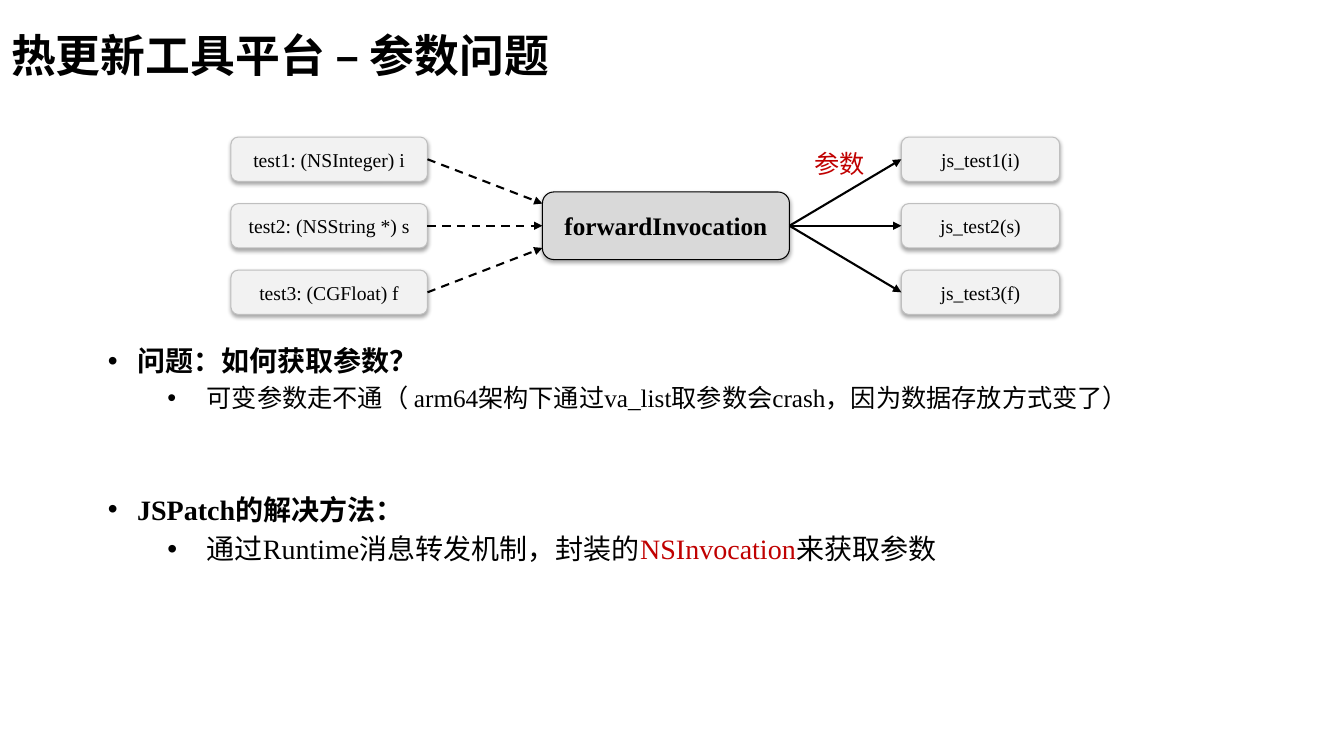
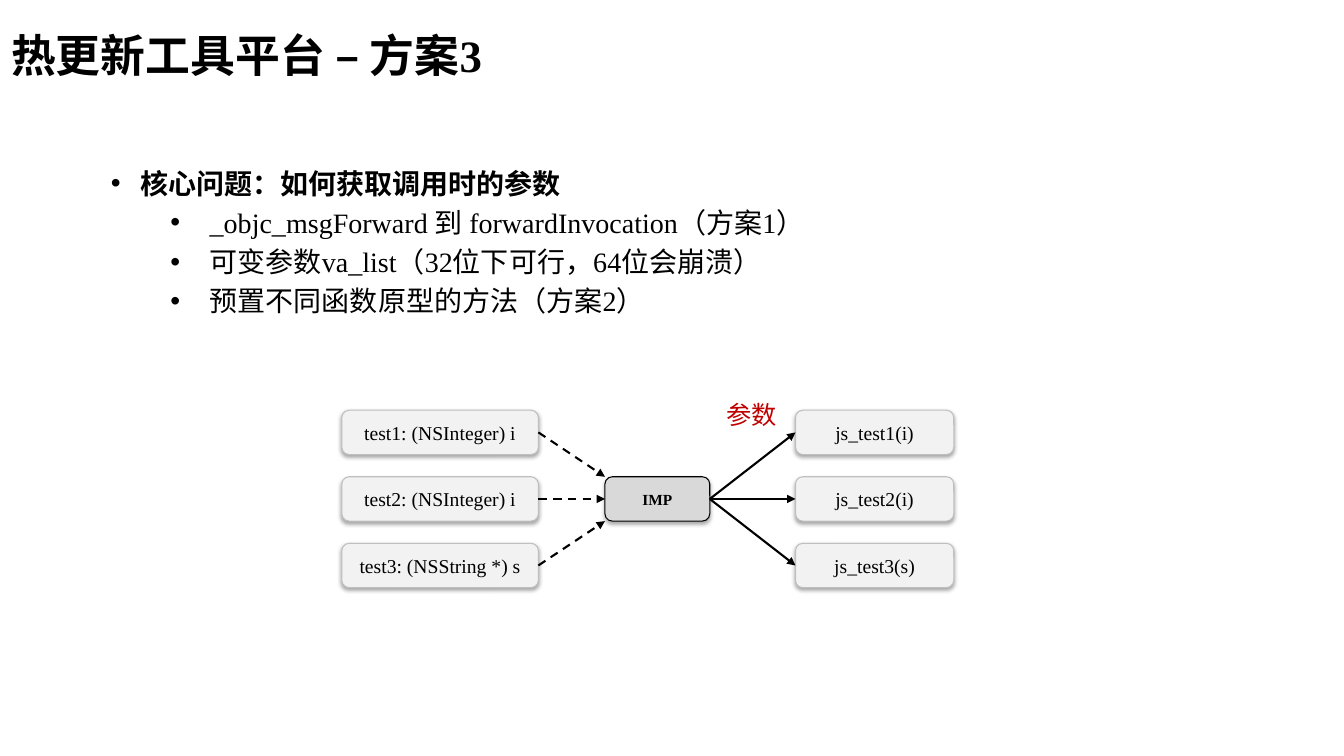
from dataclasses import dataclass

from lxml import etree
from pptx import Presentation
from pptx.dml.color import RGBColor
from pptx.enum.dml import MSO_LINE
from pptx.enum.shapes import MSO_CONNECTOR, MSO_SHAPE
from pptx.enum.text import MSO_ANCHOR, MSO_AUTO_SIZE, PP_ALIGN
from pptx.oxml.ns import qn
from pptx.util import Inches, Pt

DASH = MSO_LINE.DASH
STRAIGHT = MSO_CONNECTOR.STRAIGHT
ROUNDED = MSO_SHAPE.ROUNDED_RECTANGLE
TOP, MIDDLE = MSO_ANCHOR.TOP, MSO_ANCHOR.MIDDLE
NO_FIT = MSO_AUTO_SIZE.NONE
LEFT, CENTER = PP_ALIGN.LEFT, PP_ALIGN.CENTER
LEFT_SITE, RIGHT_SITE = 1, 3
TITLE_AND_CONTENT = 1


@dataclass(frozen=True)
class Theme:
    font: str = "Times New Roman"
    ink: str = "000000"
    accent: str = "C00000"
    box_fill: str = "F2F2F2"
    box_line: str = "BFBFBF"
    hub_fill: str = "D9D9D9"
    title: int = 32
    body: int = 20
    small: int = 18
    box: int = 14


T = Theme()
INDENTS = ((0.29, -0.29), (0.98, -0.39))
BOX_H = 0.44
ROW_PITCH = 0.66
METHOD_W, SCRIPT_W = 1.95, 1.57


class Deck:
    def __init__(self):
        self.prs = Presentation()
        self.prs.slide_width = Inches(13.33)
        self.prs.slide_height = Inches(7.5)
        self.s = None

    def slide(self, title):
        layout = self.prs.slide_layouts[TITLE_AND_CONTENT]
        self.s = self.prs.slides.add_slide(layout)
        sp = self.s.shapes.title
        tf = self.place(sp, (0.01, 0.08, 8.77, 0.92), MIDDLE)
        tf.paragraphs[0].alignment = LEFT
        self.run(tf.paragraphs[0], title, size=T.title, bold=True)

    def place(self, sp, at, anchor):
        """Move a placeholder and return its text frame."""
        sp.left, sp.top, sp.width, sp.height = map(Inches, at)
        tf = sp.text_frame
        tf.auto_size = NO_FIT
        tf.vertical_anchor = anchor
        return tf

    def run(self, p, text, size=T.body, color=T.ink, bold=False):
        r = p.add_run()
        r.text = text
        style = {"name": T.font, "size": Pt(size), "bold": bold}
        for name, value in style.items():
            setattr(r.font, name, value)
        r.font.color.rgb = RGBColor.from_string(color)

    def bullets(self, at, items):
        """Fill the body from (level, space before, runs) items."""
        tf = self.place(self.s.placeholders[1], at, TOP)
        for i, (level, before, runs) in enumerate(items):
            p = tf.add_paragraph() if i else tf.paragraphs[0]
            p.level = level
            p.alignment = LEFT
            p.space_before = Pt(before)
            pPr = p._p.get_or_add_pPr()
            margin, indent = INDENTS[level]
            pPr.set("marL", str(Inches(margin)))
            pPr.set("indent", str(Inches(indent)))
            etree.SubElement(pPr, qn("a:buFont"), typeface="Arial")
            etree.SubElement(pPr, qn("a:buChar"), char="•")
            for text, style in runs:
                self.run(p, text, bold=level == 0, **style)

    def box(self, text, at, fill=T.box_fill, line=T.box_line, **style):
        sp = self.s.shapes.add_shape(ROUNDED, *map(Inches, at))
        sp.fill.solid()
        sp.fill.fore_color.rgb = RGBColor.from_string(fill)
        sp.line.color.rgb = RGBColor.from_string(line)
        sp.line.width = Pt(0.75)
        self.soft_shadow(sp)
        p = sp.text_frame.paragraphs[0]
        p.alignment = CENTER
        self.run(p, text, **{"size": T.box, **style})
        return sp

    def soft_shadow(self, sp):
        sp.shadow.inherit = False
        effects = sp._element.spPr.find(qn("a:effectLst"))
        shadow = etree.SubElement(
            effects, qn("a:outerShdw"), blurRad=str(Pt(3.1)),
            dist=str(Pt(1.8)), dir="5400000", rotWithShape="0")
        color = etree.SubElement(shadow, qn("a:srgbClr"), val=T.ink)
        etree.SubElement(color, qn("a:alpha"), val="35000")

    def arrow(self, source, target, end_y=None, dash=None):
        """Join two boxes, ending at end_y if given, else mid-side."""
        begin_y = source.top + source.height // 2
        cxn = self.s.shapes.add_connector(
            STRAIGHT, source.left + source.width, begin_y,
            target.left, begin_y if end_y is None else end_y)
        cxn.begin_connect(source, RIGHT_SITE)
        if end_y is None:
            cxn.end_connect(target, LEFT_SITE)
        cxn.line.color.rgb = RGBColor.from_string(T.ink)
        cxn.line.width = Pt(1.5)
        if dash:
            cxn.line.dash_style = dash
        spPr = cxn._element.spPr
        etree.SubElement(spPr.find(qn("a:ln")), qn("a:tailEnd"),
                         type="triangle")
        etree.SubElement(spPr, qn("a:effectLst"))

    def label(self, text, left, top):
        sp = self.s.shapes.add_textbox(
            *map(Inches, (left, top, 0.71, 0.4)))
        sp.text_frame.word_wrap = False
        self.run(sp.text_frame.paragraphs[0], text,
                 size=T.small, color=T.accent)

    def column(self, texts, left, width, mid):
        first = mid - ROW_PITCH * (len(texts) - 1) / 2 - BOX_H / 2
        return [self.box(text, (left, first + i * ROW_PITCH, width, BOX_H))
                for i, text in enumerate(texts)]

    def forwarding(self, mid, methods, hub, scripts, label_at):
        """Draw methods converging on a hub that fans out to scripts.

        Columns are (left, texts); hub is (text, left, width, height, size).
        """
        method_x, method_texts = methods
        script_x, script_texts = scripts
        name, x, w, h, size = hub
        sources = self.column(method_texts, method_x, METHOD_W, mid)
        hub_sp = self.box(name, (x, mid - h / 2, w, h), fill=T.hub_fill,
                          line=T.ink, size=size, bold=True)
        targets = self.column(script_texts, script_x, SCRIPT_W, mid)
        for step, source in zip((-1, 0, 1), sources):
            self.arrow(source, hub_sp, Inches(mid + step * 0.22), DASH)
        for target in targets:
            self.arrow(hub_sp, target)
        self.label("参数", *label_at)


def parameter_slide(deck):
    deck.slide("热更新工具平台 – 参数问题")
    deck.bullets((0.97, 3.36, 11, 2.38), [
        (0, 0, [("问题：如何获取参数？", {})]),
        (1, 3.6, [("可变参数走不通（ arm64架构下通过va_list取参数会crash，"
                   "因为数据存放方式变了）", {"size": T.small})]),
        (0, 57, [("JSPatch的解决方法：", {})]),
        (1, 4, [("通过Runtime消息转发机制，封装的", {}),
                ("NSInvocation", {"color": T.accent}),
                ("来获取参数", {})]),
    ])
    deck.forwarding(
        2.24,
        (2.29, ["test1: (NSInteger) i", "test2: (NSString *) s",
                "test3: (CGFloat) f"]),
        ("forwardInvocation", 5.38, 2.45, 0.67, 18),
        (8.94, ["js_test1(i)", "js_test2(s)", "js_test3(f)"]),
        (7.98, 1.42))


def third_plan_slide(deck):
    deck.slide("热更新工具平台 – 方案3")
    deck.bullets((1, 1.6, 11.55, 1.89), [
        (0, 0, [("核心问题：如何获取调用时的参数", {})]),
        (1, 4, [("_objc_msgForward 到 forwardInvocation（方案1）", {})]),
        (1, 4, [("可变参数va_list（32位下可行，64位会崩溃）", {})]),
        (1, 4, [("预置不同函数原型的方法（方案2）", {})]),
    ])
    deck.forwarding(
        4.95,
        (3.39, ["test1: (NSInteger) i", "test2: (NSInteger) i",
                "test3: (NSString *) s"]),
        ("IMP", 6, 1.04, BOX_H, 11),
        (7.89, ["js_test1(i)", "js_test2(i)", "js_test3(s)"]),
        (7.11, 3.91))


def main():
    deck = Deck()
    parameter_slide(deck)
    third_plan_slide(deck)
    deck.prs.save("out.pptx")


if __name__ == "__main__":
    main()
